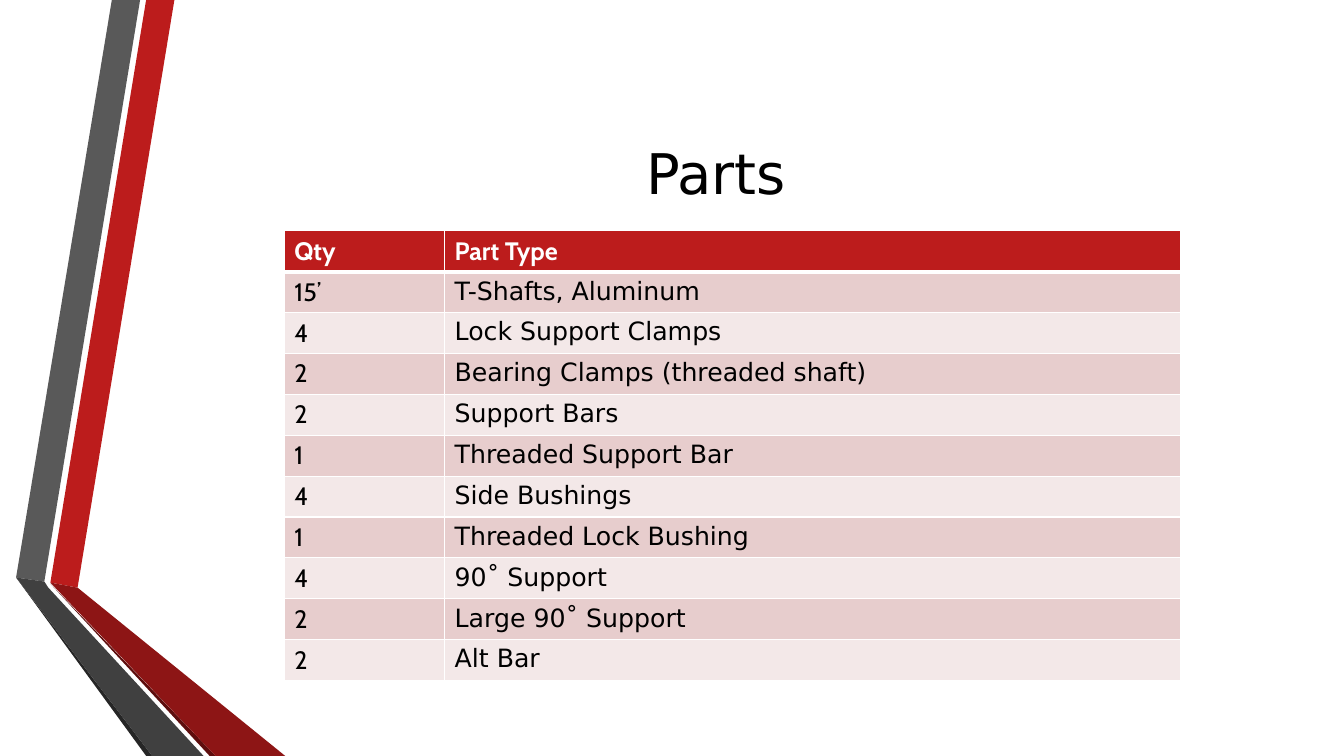
"""Build the Parts slide: a parts table beside folded ribbon bands."""
from lxml.etree import SubElement
from pptx import Presentation
from pptx.dml.color import RGBColor
from pptx.enum.text import MSO_ANCHOR as Anchor, PP_ALIGN as Align
from pptx.oxml.ns import qn
from pptx.util import Inches, Pt

WHITE = RGBColor(0xFF, 0xFF, 0xFF)
BLACK = RGBColor(0, 0, 0)
RED = RGBColor(0xBC, 0x1C, 0x1C)
DARK_RED = RGBColor(0x8D, 0x15, 0x15)
DEEP_RED = RGBColor(0x5E, 0x0E, 0x0E)
GRAY = RGBColor(0x59, 0x59, 0x59)
DARK_GRAY = RGBColor(0x40, 0x40, 0x40)
DEEP_GRAY = RGBColor(0x26, 0x26, 0x26)
ROSE = RGBColor(0xE7, 0xCD, 0xCD)
PALE_ROSE = RGBColor(0xF3, 0xE8, 0xE8)
QTY_FONT = "Cabin"
TEXT_FONT = "DejaVu Sans"

BANDS = [
    (RED, [(0.5, 5.78), (0.77, 5.83), (1.73, 0), (1.45, 0)]),
    (GRAY, [(1.39, 0), (1.11, 0), (0.16, 5.73), (0.44, 5.77)]),
    (DEEP_GRAY, [(0.16, 5.73), (1.45, 7.5), (1.51, 7.5)]),
    (DEEP_RED, [(0.5, 5.79), (2.08, 7.5), (2.14, 7.5)]),
    (DARK_RED, [(0.5, 5.78), (2.14, 7.5), (2.83, 7.5), (0.77, 5.83)]),
    (DARK_GRAY, [(2.02, 7.5), (0.48, 5.83), (0.44, 5.77), (0.16, 5.73),
                 (1.51, 7.5)]),
]
PARTS = [
    ("Qty", "Part Type"),
    ("15’", "T-Shafts, Aluminum"),
    ("4", "Lock Support Clamps"),
    ("2", "Bearing Clamps (threaded shaft)"),
    ("2", "Support Bars"),
    ("1", "Threaded Support Bar"),
    ("4", "Side Bushings"),
    ("1", "Threaded Lock Bushing"),
    ("4", "90˚ Support"),
    ("2", "Large 90˚ Support"),
    ("2", "Alt Bar"),
]


def add_span(para, text, size, font, color, bold=False):
    """Add one formatted run to a paragraph."""
    span = para.add_run()
    span.text = text
    span.font.size = Pt(size)
    span.font.name = font
    span.font.color.rgb = color
    span.font.bold = bold


def add_band(page, color, corners):
    """Draw one filled ribbon piece through its corners."""
    points = [(Inches(x), Inches(y)) for x, y in corners]
    builder = page.shapes.build_freeform(*points[0])
    builder.add_line_segments(points[1:], close=True)
    band = builder.convert_to_shape()
    band.shadow.inherit = False
    band.fill.solid()
    band.fill.fore_color.rgb = color
    band.line.fill.background()


def format_title(page, text):
    """Place and fill the title placeholder."""
    title = page.shapes.title
    title.left, title.top = Inches(1.62), Inches(0.75)
    title.width, title.height = Inches(10.96), Inches(1.92)
    title.text_frame.vertical_anchor = Anchor.MIDDLE
    para = title.text_frame.paragraphs[0]
    para.alignment = Align.CENTER
    add_span(para, text, 40, TEXT_FONT, BLACK)


def set_borders(cell, top, bottom):
    """Give a cell white borders, with top and bottom widths in points."""
    properties = cell._tc.get_or_add_tcPr()
    for side, width in (("L", 1), ("R", 1), ("T", top), ("B", bottom)):
        line = SubElement(properties, qn(f"a:ln{side}"), w=str(Pt(width)))
        fill = SubElement(line, qn("a:solidFill"))
        SubElement(fill, qn("a:srgbClr"), val=str(WHITE))


def add_parts_table(page):
    """Add the table of quantities and part types."""
    frame = page.shapes.add_table(len(PARTS), 2, Inches(2.82), Inches(2.29),
                                  Inches(8.89), Inches(4.46))
    table = frame.table
    table.columns[0].width = Inches(1.59)
    table.columns[1].width = Inches(7.3)
    for row, texts in enumerate(PARTS):
        header = row == 0
        fill = RED if header else ROSE if row % 2 else PALE_ROSE
        for column, text in enumerate(texts):
            cell = table.cell(row, column)
            set_borders(cell, 3 if row == 1 else 1, 3 if header else 1)
            cell.fill.solid()
            cell.fill.fore_color.rgb = fill
            font = QTY_FONT if header or column == 0 else TEXT_FONT
            add_span(cell.text_frame.paragraphs[0], text, 18, font,
                     WHITE if header else BLACK, header)


def main():
    """Build and save the deck."""
    deck = Presentation()
    deck.slide_width, deck.slide_height = Inches(13.33), Inches(7.5)
    page = deck.slides.add_slide(deck.slide_layouts.get_by_name("Title Only"))
    for color, corners in BANDS:
        add_band(page, color, corners)
    format_title(page, "Parts")
    add_parts_table(page)
    deck.save("out.pptx")


if __name__ == "__main__":
    main()
